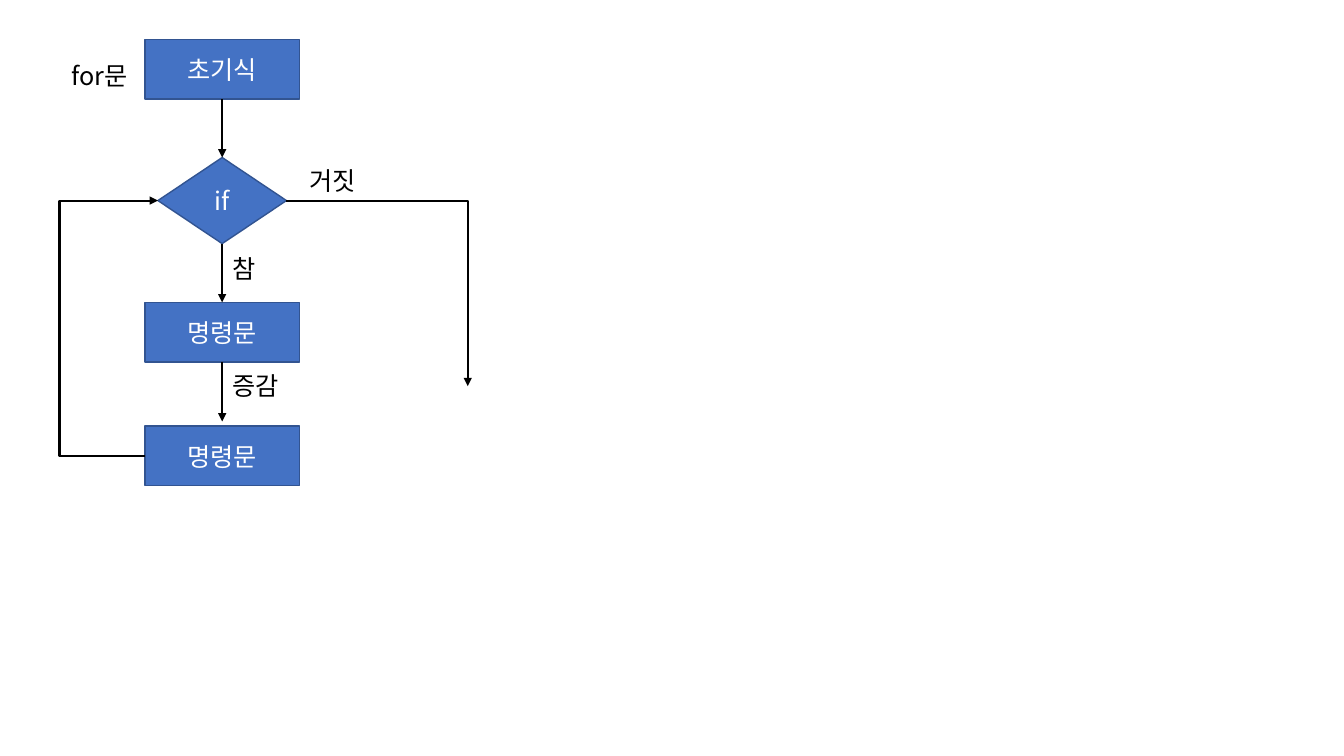
import dataclasses

import pptx
import pptx.dml.color
import pptx.enum.shapes
import pptx.enum.text
import pptx.oxml
import pptx.oxml.ns
import pptx.util

Cm = pptx.util.Cm
Pt = pptx.util.Pt
Kind = pptx.enum.shapes.MSO_SHAPE
Link = pptx.enum.shapes.MSO_CONNECTOR
Align = pptx.enum.text.PP_ALIGN
Anchor = pptx.enum.text.MSO_ANCHOR
TOP, LEFT, BOTTOM, RIGHT = range(4)
MID = 5.6  # centre line of the flow, in cm


@dataclasses.dataclass(frozen=True)
class Theme:
    font: str = "Noto Sans CJK KR"
    size: int = 18
    fill: str = "4472C4"
    edge: str = "325491"
    ink: str = "000000"
    light: str = "FFFFFF"
    thin: float = 1
    thick: float = 1.5


theme = Theme()


def color(code):
    return pptx.dml.color.RGBColor.from_string(code)


def tag(parent, kind, **attrs):
    """Append a drawing element to parent."""
    child = parent.makeelement(pptx.oxml.ns.qn("a:" + kind), attrs)
    parent.append(child)


def write(shape, text, ink=theme.ink, align=Align.LEFT, anchor=Anchor.TOP, wrap=True):
    frame = shape.text_frame
    frame.word_wrap = wrap
    frame.vertical_anchor = anchor
    line = frame.paragraphs[0]
    line.alignment = align
    run = line.add_run()
    run.text = text
    run.font.size = Pt(theme.size)
    run.font.name = theme.font
    run.font.color.rgb = color(ink)
    tag(run.font._element, "ea", typeface=theme.font)


def node(slide, text, top, kind=Kind.RECTANGLE, width=3.89, height=1.5):
    """Add a filled flow step centred on the flow line."""
    shape = slide.shapes.add_shape(
        kind, Cm(MID - width / 2), Cm(top), Cm(width), Cm(height))
    shape.shadow.inherit = False
    shape.fill.solid()
    shape.fill.fore_color.rgb = color(theme.fill)
    shape.line.color.rgb = color(theme.edge)
    shape.line.width = Pt(theme.thin)
    write(shape, text, ink=theme.light, align=Align.CENTER, anchor=Anchor.MIDDLE)
    return shape


def label(slide, text, left, top, width, wrap=False):
    box = slide.shapes.add_textbox(Cm(left), Cm(top), Cm(width), Cm(1.02))
    write(box, text, wrap=wrap)


def arrow(slide, start, end=None, point=(0, 0), kind=Link.STRAIGHT):
    """Join (shape, side) start to end, or to a free point in cm."""
    x, y = map(Cm, point)
    line = slide.shapes.add_connector(kind, x, y, x, y)
    line.begin_connect(*start)
    if end:
        line.end_connect(*end)
    line.line.color.rgb = color(theme.ink)
    line.line.width = Pt(theme.thick)
    tag(line.line._get_or_add_ln(), "tailEnd", type="triangle")
    tag(line._element.spPr, "effectLst")
    return line


def bend(line, preset, turn=None):
    """Set the elbow's preset and, if given, the place of its turn."""
    geom = line._element.spPr.find(pptx.oxml.ns.qn("a:prstGeom"))
    geom.set("prst", preset)
    if turn is not None:
        guides = geom.find(pptx.oxml.ns.qn("a:avLst"))
        tag(guides, "gd", name="adj1", fmla=f"val {turn}")


def main():
    deck = pptx.Presentation()
    deck.slide_width, deck.slide_height = Cm(33.87), Cm(19.05)
    slide = deck.slides.add_slide(deck.slide_layouts[6])

    init = node(slide, "초기식", 1)
    test = node(slide, "if", 3.97, Kind.FLOWCHART_DECISION, 3.24, 2.17)
    body = node(slide, "명령문", 7.62)
    step = node(slide, "명령문", 10.74)

    arrow(slide, (init, BOTTOM), (test, TOP))
    arrow(slide, (test, BOTTOM), (body, TOP))
    arrow(slide, (body, BOTTOM), point=(MID, 10.62))

    leave = arrow(slide, (test, RIGHT), point=(11.79, 9.73), kind=Link.ELBOW)
    bend(leave, "bentConnector2")
    loop = arrow(slide, (step, LEFT), (test, LEFT), kind=Link.ELBOW)
    turn = (Cm(1.5) - step.left) / (test.left - step.left)
    bend(loop, "bentConnector3", round(turn * 100000))

    label(slide, "for문", 1.55, 1.4, 1.98, wrap=True)
    label(slide, "거짓", 7.54, 4.04, 1.8)
    label(slide, "참", MID, 6.27, 1.14)
    label(slide, "증감", MID, 9.2, 1.8)

    deck.save("out.pptx")


if __name__ == "__main__":
    main()
